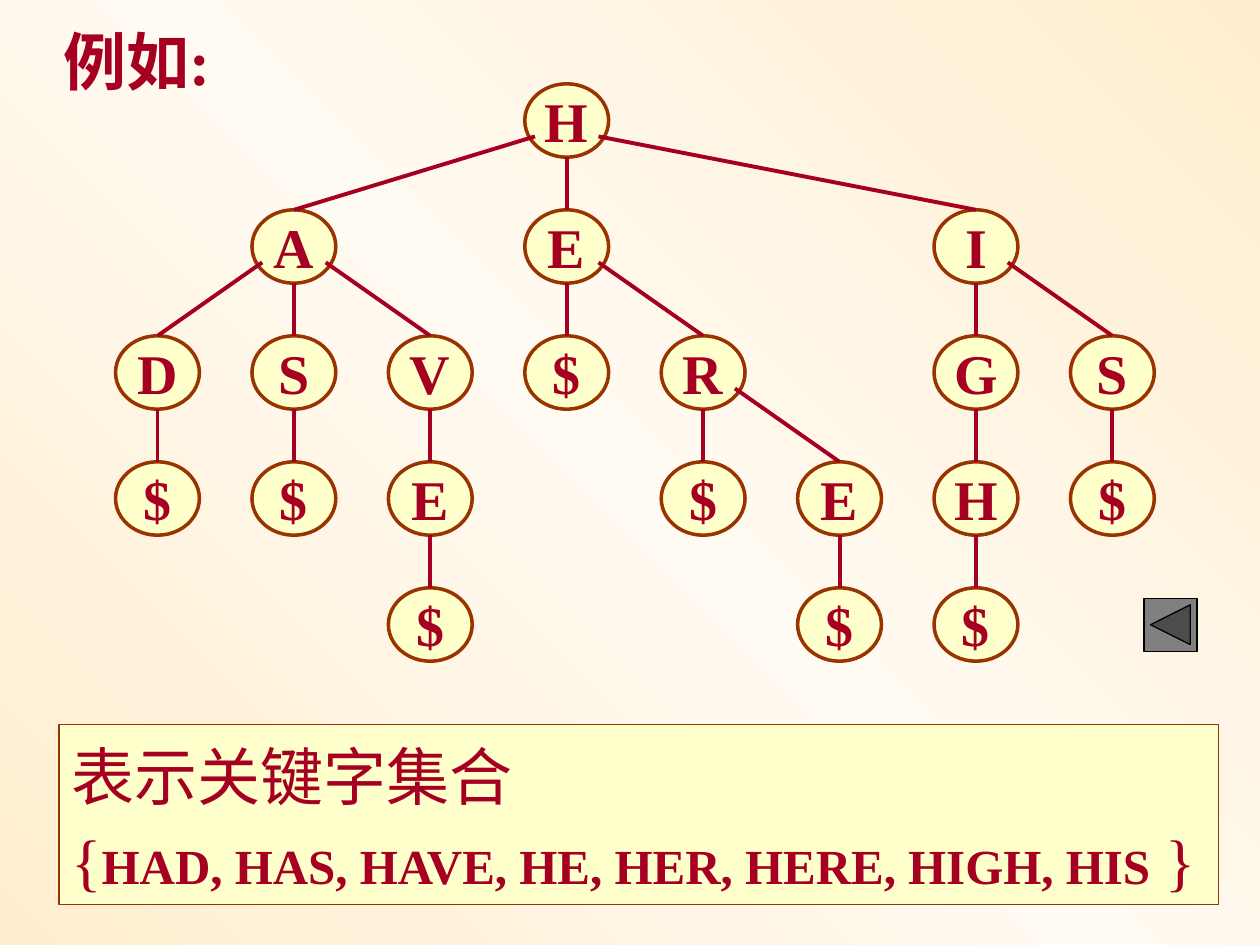
from copy import deepcopy

from pptx import Presentation
from pptx.dml.color import RGBColor
from pptx.enum.shapes import MSO_CONNECTOR, MSO_SHAPE
from pptx.enum.text import MSO_ANCHOR, MSO_AUTO_SIZE, PP_ALIGN
from pptx.oxml.ns import qn
from pptx.oxml.xmlchemy import OxmlElement
from pptx.util import Cm, Pt

CRIMSON = RGBColor(0xA5, 0x00, 0x21)
BROWN = RGBColor(0x99, 0x33, 0x00)
CREAM = RGBColor(0xFF, 0xFF, 0xCC)
PEACH = RGBColor(0xFF, 0xED, 0xCD)
IVORY = RGBColor(0xFF, 0xFA, 0xF2)
GRAY = RGBColor(0x80, 0x80, 0x80)
BLACK = RGBColor(0x00, 0x00, 0x00)
FONT = "Times New Roman"

NODE_WIDTH, NODE_HEIGHT = Cm(1.69), Cm(1.48)
TREE_LEFT, TREE_TOP = Cm(2.33), Cm(1.69)
COLUMN_STEP, LEVEL_STEP = Cm(2.75), Cm(2.54)
BRANCH_DX, BRANCH_DY = Cm(0.64), Cm(0.32)

TRIE = ("H", 3, [
    ("A", 1, [
        ("D", 0, [("$", 0, [])]),
        ("S", 1, [("$", 1, [])]),
        ("V", 2, [("E", 2, [("$", 2, [])])]),
    ]),
    ("E", 3, [
        ("$", 3, []),
        ("R", 4, [("$", 4, []), ("E", 5, [("$", 5, [])])]),
    ]),
    ("I", 6, [
        ("G", 6, [("H", 6, [("$", 6, [])])]),
        ("S", 7, [("$", 7, [])]),
    ]),
])


def paint_background(slide):
    fill = slide.background.fill
    fill.gradient()
    fill.gradient_angle = 45
    stop_list = slide.element.find(".//" + qn("a:gsLst"))
    stop_list.append(deepcopy(stop_list[0]))
    for stop, color, position in zip(
        fill.gradient_stops, (PEACH, IVORY, PEACH), (0, 0.5, 1)
    ):
        stop.color.rgb = color
        stop.position = position


def add_run(paragraph, text, size, bold):
    run = paragraph.add_run()
    run.text = text
    font = run.font
    font.name, font.size, font.bold = FONT, Pt(size), bold
    font.color.rgb = CRIMSON


def add_filled(slide, kind, left, top, width, height, fill, line, line_width):
    shape = slide.shapes.add_shape(kind, left, top, width, height)
    shape.shadow.inherit = False
    shape.fill.solid()
    shape.fill.fore_color.rgb = fill
    shape.line.color.rgb = line
    shape.line.width = Pt(line_width)
    return shape


def add_node(slide, letter, column, level):
    node = add_filled(
        slide, MSO_SHAPE.OVAL,
        TREE_LEFT + column * COLUMN_STEP, TREE_TOP + level * LEVEL_STEP,
        NODE_WIDTH, NODE_HEIGHT, CREAM, BROWN, 2,
    )
    frame = node.text_frame
    frame.word_wrap = False
    frame.vertical_anchor = MSO_ANCHOR.MIDDLE
    frame.paragraphs[0].alignment = PP_ALIGN.CENTER
    add_run(frame.paragraphs[0], letter, 32, True)
    return node


def add_branch(slide, parent, child):
    side = (child.left > parent.left) - (child.left < parent.left)
    start_x = parent.left + NODE_WIDTH // 2 + side * BRANCH_DX
    drop = BRANCH_DY if side else NODE_HEIGHT // 2
    start_y = parent.top + NODE_HEIGHT // 2 + drop
    branch = slide.shapes.add_connector(
        MSO_CONNECTOR.STRAIGHT, start_x, start_y,
        child.left + NODE_WIDTH // 2, child.top,
    )
    branch.end_connect(child, 0)
    branch.line.color.rgb = CRIMSON
    branch.line.width = Pt(2.25)
    branch.element.spPr.append(OxmlElement("a:effectLst"))


def add_subtree(slide, subtree, level=0):
    letter, column, children = subtree
    parent = add_node(slide, letter, column, level)
    for child in children:
        add_branch(slide, parent, add_subtree(slide, child, level + 1))
    return parent


def fill_title(slide):
    title = slide.shapes.title
    title.left, title.top = Cm(1.02), Cm(0.33)
    title.width, title.height = Cm(3.5), Cm(1.78)
    frame = title.text_frame
    frame.word_wrap = True
    frame.auto_size = MSO_AUTO_SIZE.NONE
    frame.vertical_anchor = MSO_ANCHOR.TOP
    frame.margin_right = Cm(0.5)
    frame.paragraphs[0].alignment = PP_ALIGN.LEFT
    add_run(frame.paragraphs[0], "例如:", 36, True)


def add_keyword_box(slide):
    box = add_filled(
        slide, MSO_SHAPE.RECTANGLE, Cm(1.19), Cm(14.6), Cm(23.37), Cm(3.63),
        CREAM, BROWN, 0.75,
    )
    frame = box.text_frame
    frame.word_wrap = True
    frame.vertical_anchor = MSO_ANCHOR.TOP
    caption, keywords = frame.paragraphs[0], frame.add_paragraph()
    for paragraph in (caption, keywords):
        paragraph.alignment = PP_ALIGN.LEFT
        paragraph.line_spacing = 1.1
    add_run(caption, "表示关键字集合", 36, False)
    add_run(keywords, "{", 36, False)
    add_run(keywords, "HAD, HAS, HAVE, HE, HER, HERE, HIGH, HIS", 28, True)
    add_run(keywords, " }", 36, False)


def main():
    presentation = Presentation()
    presentation.slide_width, presentation.slide_height = Cm(25.4), Cm(19.05)
    slide = presentation.slides.add_slide(presentation.slide_layouts[5])
    paint_background(slide)
    add_subtree(slide, TRIE)
    fill_title(slide)
    add_keyword_box(slide)
    add_filled(
        slide, MSO_SHAPE.ACTION_BUTTON_BACK_OR_PREVIOUS,
        Cm(23.06), Cm(12.06), Cm(1.07), Cm(1.07), GRAY, BLACK, 0.75,
    )
    presentation.save("out.pptx")


if __name__ == "__main__":
    main()
